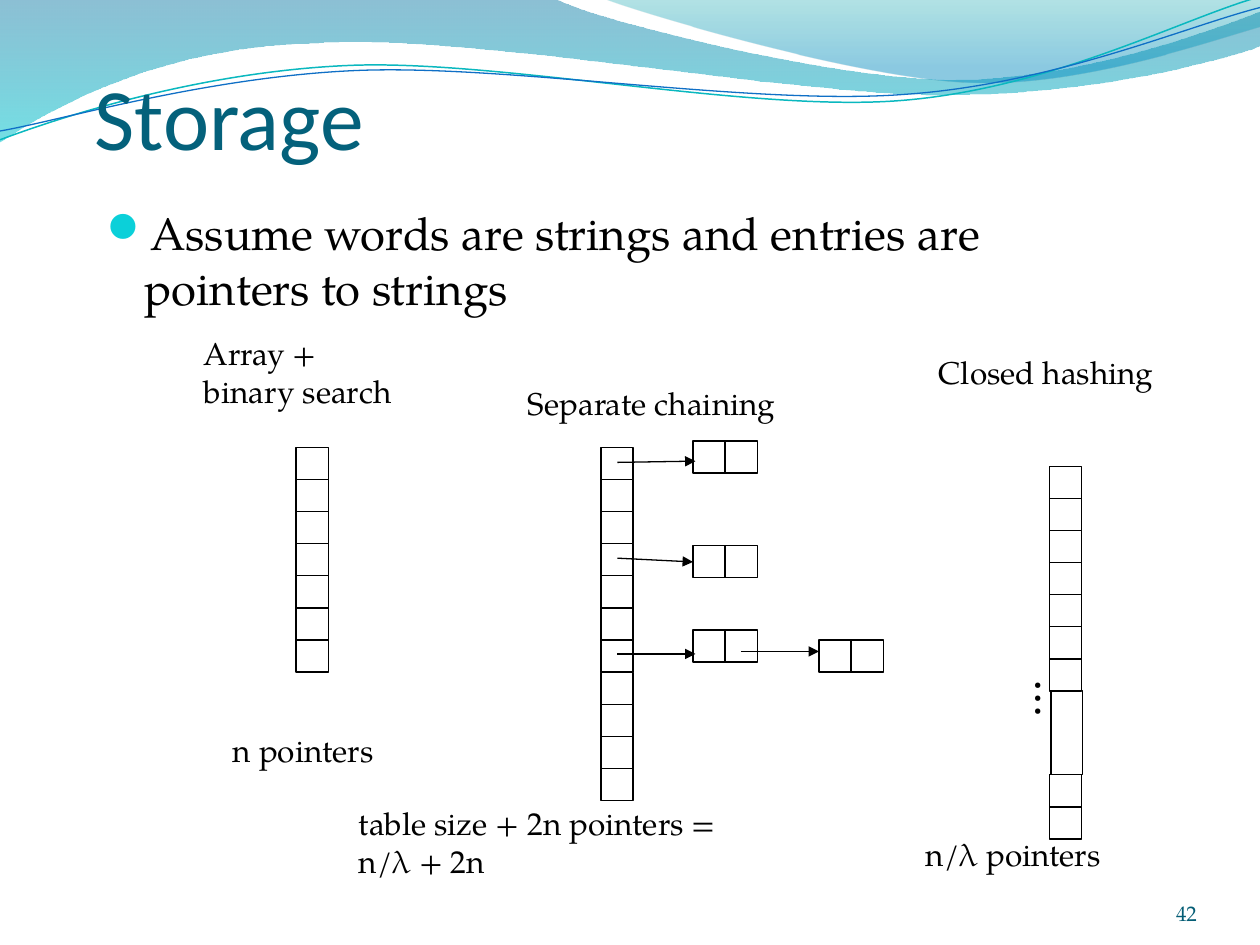
from typing import NamedTuple

from lxml.etree import Element, SubElement
from pptx import Presentation
from pptx.dml.color import RGBColor
from pptx.enum.shapes import MSO_CONNECTOR, MSO_SHAPE
from pptx.enum.text import MSO_ANCHOR as Anchor, PP_ALIGN as Align
from pptx.oxml.ns import qn
from pptx.util import Inches, Pt

BLACK = RGBColor(0x00, 0x00, 0x00)
TITLE_BLUE = RGBColor(0x04, 0x61, 0x7B)
NUMBER_BLUE = RGBColor(0x04, 0x5D, 0x75)
BULLET_CYAN = RGBColor(0x0B, 0xD0, 0xD9)
LINE_TEAL = RGBColor(0x0A, 0xB8, 0xBF)
LINE_BLUE = RGBColor(0x0F, 0x6F, 0xC6)
SERIF = "TeX Gyre Pagella"
CELL = 2.55 / 10  # side of a cell; neighbours share an edge
Point = tuple[float, float]


class Stop(NamedTuple):
    position: float
    color: RGBColor
    opacity: int


class Wave(NamedTuple):
    """Start point, then line (1 point) or Bezier (3 points) segments."""
    start: Point
    segments: list[list[Point]]
    stops: tuple[Stop, ...] = ()
    line_color: RGBColor = BLACK
    line_width: float = 0


class CellRun(NamedTuple):
    left: float
    top: float
    count: int
    horizontal: bool = False


class Label(NamedTuple):
    text: str
    left: float
    top: float
    width: float
    height: float
    wrap: bool


class Arrow(NamedTuple):
    start: Point
    end: Point


WAVES = [
    Wave((0, 0), [
        [(4.4, -0.01)],
        [(4.76, 0.17), (6.64, 0.63), (7.58, 0.63)],
        [(8.53, 0.63), (9.58, 0.26), (10, 0.09)],
        [(10.01, 0.36)],
        [(9.83, 0.44), (8.7, 0.76), (7.46, 0.75)],
        [(6.22, 0.75), (3.82, 0.28), (2.57, 0.34)],
        [(1.29, 0.36), (0.46, 0.83), (-0.01, 1.13)],
    ], (Stop(0, RGBColor(0x00, 0x74, 0xA1), 45), Stop(1, RGBColor(0x00, 0xC6, 0xCF), 55))),
    Wave((4.79, -0.01), [
        [(5.09, 0.11), (6.82, 0.62), (7.69, 0.65)],
        [(8.56, 0.69), (9.61, 0.32), (10, 0.21)],
        [(10, 0)],
    ], (Stop(0, RGBColor(0x00, 0xA1, 0xA9), 30), Stop(0.8, RGBColor(0x00, 0x8B, 0xBF), 45))),
    Wave((0, 1.11), [
        [(0.48, 0.93), (1.58, 0.57), (2.77, 0.52)],
        [(3.95, 0.47), (5.93, 0.89), (7.13, 0.8)],
        [(8.33, 0.71), (9.38, 0.15), (9.98, -0.02)],
    ], line_color=LINE_TEAL, line_width=0.85),
    Wave((0, 1.04), [
        [(0.47, 0.96), (1.64, 0.61), (2.83, 0.56)],
        [(4.03, 0.51), (5.97, 0.84), (7.17, 0.75)],
        [(8.36, 0.67), (9.41, 0.21), (10, 0.06)],
    ], line_color=LINE_BLUE, line_width=0.75),
]
CELL_RUNS = [
    CellRun(2.35, 3.55, 7),  # sorted array
    CellRun(4.77, 3.55, 11),  # chaining table
    CellRun(8.33, 3.7, 7),  # closed hashing table, upper part
    CellRun(8.33, 6.15, 2),  # closed hashing table, lower part
    CellRun(5.5, 3.5, 2, horizontal=True),  # chain nodes
    CellRun(5.5, 4.33, 2, horizontal=True),
    CellRun(5.5, 5, 2, horizontal=True),
    CellRun(6.5, 5.08, 2, horizontal=True),
]
ARROWS = [
    Arrow((4.9, 3.67), (5.52, 3.66)),
    Arrow((4.9, 4.43), (5.5, 4.46)),
    Arrow((4.9, 5.19), (5.52, 5.19)),
    Arrow((5.88, 5.17), (6.5, 5.17)),
]
LABELS = [
    Label("Array +\nbinary search", 1.52, 2.6, 1.99, 0.9, False),
    Label("Separate chaining", 4.09, 3, 2.58, 0.5, False),
    Label("Closed hashing", 7.35, 2.75, 2.25, 0.5, False),
    Label("n pointers", 1.75, 5.75, 1.58, 0.5, True),
    Label("table size + 2n pointers =\vn/λ + 2n", 2.75, 6.33, 4.17, 0.9, True),
    Label("n/λ pointers", 7.25, 6.58, 1.83, 0.5, True),
]


def write_text(shape, text: str, *, size: float, font: str = SERIF, color: RGBColor = BLACK,
               align=Align.LEFT, anchor=Anchor.TOP, wrap: bool = True, margins=None) -> None:
    frame = shape.text_frame
    frame.text = text
    frame.word_wrap = wrap
    frame.vertical_anchor = anchor
    if margins:
        (frame.margin_left, frame.margin_top,
         frame.margin_right, frame.margin_bottom) = map(Inches, margins)
    for paragraph in frame.paragraphs:
        paragraph.alignment = align
        for run in paragraph.runs:
            run.font.size, run.font.name = Pt(size), font
            run.font.color.rgb = color


def add_text(left: float, top: float, width: float, height: float, text: str, **text_format):
    box = slide.shapes.add_textbox(*map(Inches, (left, top, width, height)))
    write_text(box, text, **text_format)
    return box


def bend_segments(shape, segments: list[list[Point]]) -> None:
    """Turn the straight segments that have control points into Bezier curves."""
    for line, segment in zip(list(shape.element.spPr.iter(qn("a:lnTo"))), segments):
        if len(segment) == 1:
            continue
        line.tag = qn("a:cubicBezTo")
        for index, (x, y) in enumerate(segment[:2]):
            control = Element(qn("a:pt"))
            control.set("x", str(Inches(x) - shape.left))
            control.set("y", str(Inches(y) - shape.top))
            line.insert(index, control)


def add_wave(wave: Wave) -> None:
    builder = slide.shapes.build_freeform(*map(Inches, wave.start))
    builder.add_line_segments([tuple(map(Inches, segment[-1])) for segment in wave.segments],
                              close=bool(wave.stops))
    shape = builder.convert_to_shape()
    bend_segments(shape, wave.segments)
    shape.shadow.inherit = False
    if not wave.stops:
        shape.fill.background()
        shape.line.color.rgb = wave.line_color
        shape.line.width = Pt(wave.line_width)
        return
    shape.line.fill.background()
    shape.fill.gradient()
    shape.fill.gradient_angle = 270
    for gradient_stop, stop in zip(shape.fill.gradient_stops, wave.stops):
        gradient_stop.position = stop.position
        gradient_stop.color.rgb = stop.color
    for color, stop in zip(shape.element.spPr.iter(qn("a:srgbClr")), wave.stops):
        SubElement(color, qn("a:alpha")).set("val", str(stop.opacity * 1000))


def add_cell(left: float, top: float, width: float = CELL, height: float = CELL):
    cell = slide.shapes.add_shape(MSO_SHAPE.RECTANGLE, *map(Inches, (left, top, width, height)))
    cell.shadow.inherit = False
    cell.fill.background()
    cell.line.color.rgb, cell.line.width = BLACK, Pt(0.75)
    return cell


def add_arrow(arrow: Arrow) -> None:
    connector = slide.shapes.add_connector(
        MSO_CONNECTOR.STRAIGHT, *map(Inches, (*arrow.start, *arrow.end)))
    connector.line.color.rgb, connector.line.width = BLACK, Pt(0.75)
    SubElement(connector.line._get_or_add_ln(), qn("a:tailEnd")).set("type", "triangle")
    SubElement(connector.element.spPr, qn("a:effectLst"))


presentation = Presentation()
presentation.slide_width, presentation.slide_height = Inches(10), Inches(7.5)
slide = presentation.slides.add_slide(presentation.slide_layouts[5])

# Wave decoration, with the title in front of it
for wave in WAVES:
    add_wave(wave)
title = slide.shapes.title
title.left, title.top, title.width, title.height = map(Inches, (0.75, 0.08, 8.5, 1.25))
write_text(title, "Storage", size=50, font="Calibri", color=TITLE_BLUE,
           anchor=Anchor.BOTTOM, margins=(0, 0.05, 0, 0))
slide.shapes.element.append(title.element)

# Bulleted statement
body = add_text(0.75, 1.58, 8.5, 4.5,
                "Assume words are strings and entries are pointers to strings", size=26)
properties = body.text_frame.paragraphs[0]._p.get_or_add_pPr()
properties.set("marL", str(Inches(0.3)))
properties.set("indent", str(Inches(-0.3)))
SubElement(SubElement(properties, qn("a:buClr")), qn("a:srgbClr")).set("val", str(BULLET_CYAN))
SubElement(properties, qn("a:buSzPct")).set("val", "95000")
SubElement(properties, qn("a:buFont")).set("typeface", "Wingdings 2")
SubElement(properties, qn("a:buChar")).set("char", "\uf097")

# Storage diagrams
for run in CELL_RUNS:
    for index in range(run.count):
        offset = index * CELL
        add_cell(run.left + offset * run.horizontal, run.top + offset * (not run.horizontal))
gap = add_cell(8.34, 5.48, 0.25, 0.67)
write_text(gap, "…", size=44, anchor=Anchor.MIDDLE, wrap=False)
gap.text_frame._txBody.bodyPr.set("vert", "eaVert")
gap.text_frame.paragraphs[0].runs[0].font._element.set("baseline", "30000")
for arrow in ARROWS:
    add_arrow(arrow)
for label in LABELS:
    add_text(label.left, label.top, label.width, label.height, label.text, size=18, wrap=label.wrap)

# Slide number
add_text(8.67, 6.95, 0.83, 0.4, "42", size=12, color=NUMBER_BLUE,
         align=Align.RIGHT, anchor=Anchor.BOTTOM, margins=(0, 0, 0, 0))

presentation.save("out.pptx")
